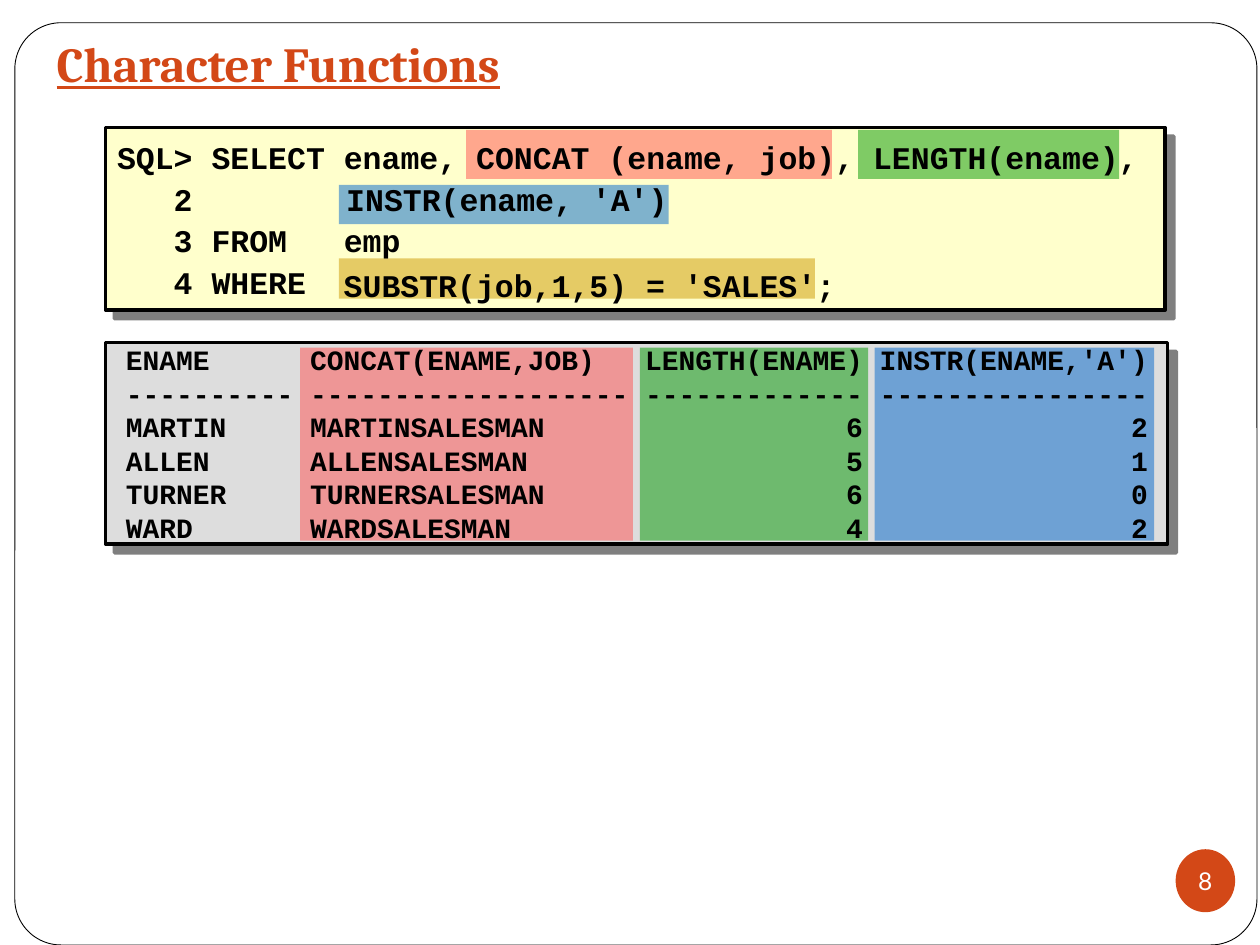
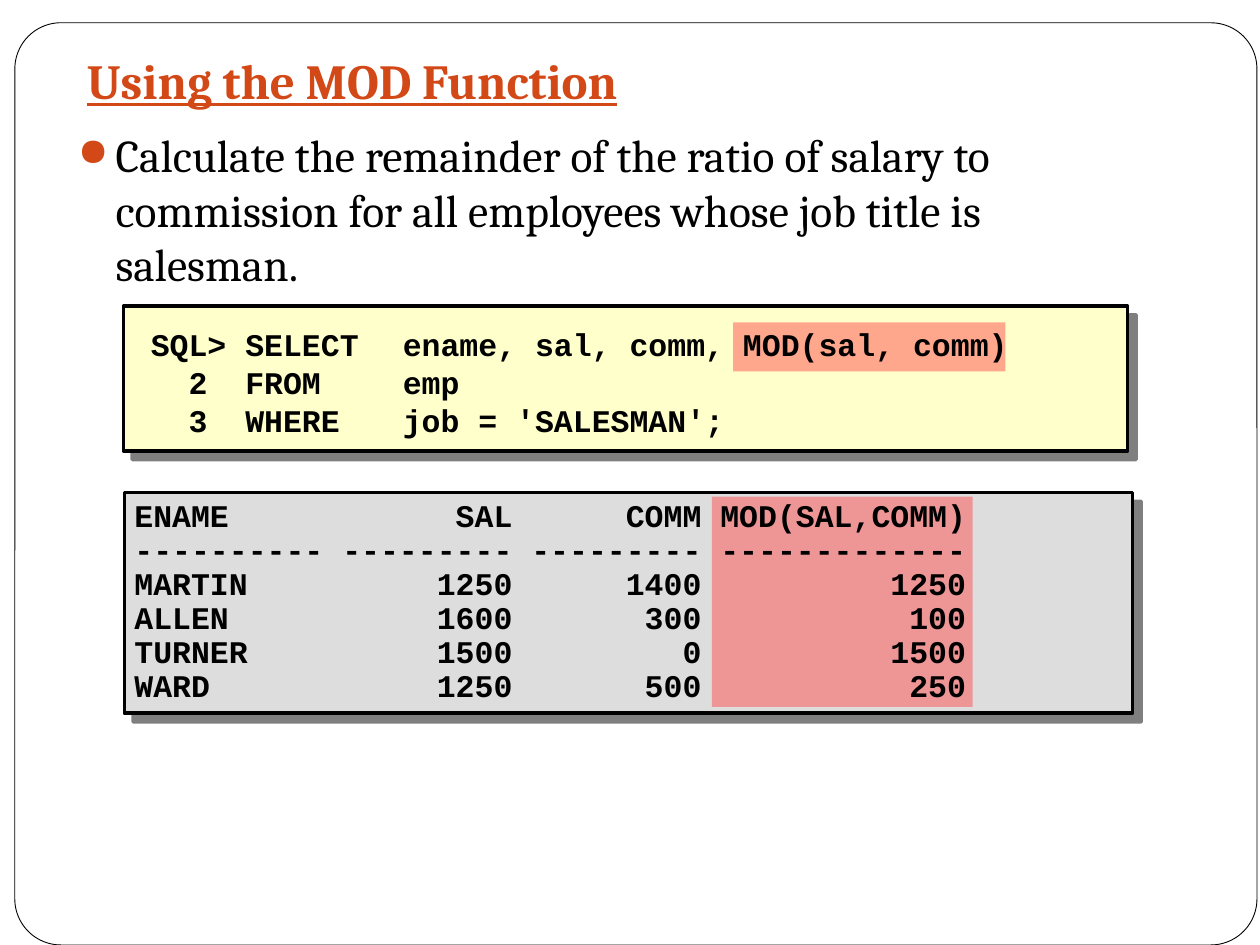
"""Build two slides on SQL character and number functions."""
import lxml.etree
import pptx
import pptx.dml.color
import pptx.enum.shapes
import pptx.enum.text
import pptx.oxml
import pptx.oxml.ns
import pptx.util

Cm, Pt = pptx.util.Cm, pptx.util.Pt
SHAPE = pptx.enum.shapes.MSO_SHAPE
ANCHOR = pptx.enum.text.MSO_ANCHOR
ALIGN = pptx.enum.text.PP_ALIGN
qn = pptx.oxml.ns.qn

COLORS = {
    "accent": "D34817", "ink": "000000", "paper": "FFFFFF",
    "code": "FFFFCC", "result": "DDDDDD",
    "red": "FF5050", "green": "009900", "blue": "0066CC", "gold": "CC9900",
}
SERIF, MONO, SANS = "Cambria", "Courier New", "Lato"


class Deck:
    """Hold the shared style and the current slide."""

    def __init__(self):
        self.prs = pptx.Presentation()
        self.prs.slide_width, self.prs.slide_height = Cm(25.4), Cm(19.05)
        self.s = None

    def color(self, name):
        return pptx.dml.color.RGBColor.from_string(COLORS[name])

    def sub(self, parent, tag, **attrs):
        return lxml.etree.SubElement(parent, qn(tag), attrs)

    def slide(self):
        self.s = self.prs.slides.add_slide(self.prs.slide_layouts[6])
        frame = self.shape((0.3, 0.46, 25.04, 18.59), "paper", 0.5, SHAPE.ROUNDED_RECTANGLE)
        frame.adjustments[0] = 0.05

    def shape(self, box, fill, line=None, kind=SHAPE.RECTANGLE):
        sp = self.s.shapes.add_shape(kind, *map(Cm, box))
        sp.shadow.inherit = False
        sp.fill.solid()
        sp.fill.fore_color.rgb = self.color(fill)
        if line:
            sp.line.color.rgb = self.color("ink")
            sp.line.width = Pt(line)
        else:
            sp.line.fill.background()
        return sp

    def panel(self, box, fill):
        sp = self.shape(box, fill, 2)
        effects = sp.element.spPr.find(qn("a:effectLst"))
        shadow = self.sub(effects, "a:outerShdw", blurRad="0", dist=str(Pt(7.1)),
                          dir="2700000", algn="ctr", rotWithShape="0")
        clr = self.sub(shadow, "a:srgbClr", val=COLORS["ink"])
        self.sub(clr, "a:alpha", val="50000")

    def highlight(self, box, fill):
        sp = self.shape(box, fill)
        clr = sp.element.spPr.find(qn("a:solidFill")).find(qn("a:srgbClr"))
        self.sub(clr, "a:alpha", val="50000")

    def run(self, p, text, size, font, color="ink", bold=False, underline=False):
        r = p.add_run()
        r.text = text
        f = r.font
        f.size, f.name, f.bold, f.underline = Pt(size), font, bold, underline
        f.color.rgb = self.color(color)

    def text(self, box, anchor=ANCHOR.TOP):
        tf = self.s.shapes.add_textbox(*map(Cm, box)).text_frame
        tf.word_wrap = True
        tf.vertical_anchor = anchor
        return tf

    def title(self, box, text, anchor=ANCHOR.TOP):
        tf = self.text(box, anchor)
        if anchor == ANCHOR.BOTTOM:
            tf.margin_bottom = Cm(0.25)
        self.run(tf.paragraphs[0], text, 28, SERIF, "accent", True, True)

    def bullet(self, box, text):
        p = self.text(box).paragraphs[0]
        pPr = p._p.get_or_add_pPr()
        pPr.set("marL", str(Cm(0.76)))
        pPr.set("indent", str(-Cm(0.76)))
        self.sub(self.sub(pPr, "a:buClr"), "a:srgbClr", val=COLORS["accent"])
        self.sub(pPr, "a:buSzPct", val="85000")
        self.sub(pPr, "a:buChar", char="●")
        self.run(p, text, 26, SERIF)

    def listing(self, box, lines, size=18, spacing=1.0, tab=None, anchor=ANCHOR.TOP):
        tf = self.text(box, anchor)
        for i, line in enumerate(lines):
            p = tf.add_paragraph() if i else tf.paragraphs[0]
            p.line_spacing = spacing
            if tab:
                tabs = self.sub(p._p.get_or_add_pPr(), "a:tabLst")
                self.sub(tabs, "a:tab", pos=str(Cm(tab)), algn="l")
            self.run(p, line, size, MONO, bold=True)

    def page_number(self, number):
        sp = self.shape((23.7, 17.12, 1.2, 1.27), "accent", kind=SHAPE.OVAL)
        tf = sp.text_frame
        tf.margin_left = tf.margin_right = tf.margin_top = tf.margin_bottom = 0
        tf.word_wrap = False
        tf.vertical_anchor = ANCHOR.MIDDLE
        p = tf.paragraphs[0]
        p.alignment = ALIGN.CENTER
        self.run(p, number, 14, SANS, "paper")


def character_functions(d):
    d.slide()
    d.title((0.89, 0.63, 18, 1.48), "Character Functions", ANCHOR.BOTTOM)
    d.page_number("8")
    d.panel((2.13, 6.91, 21.41, 4.06), "result")
    d.panel((2.13, 2.57, 21.36, 3.68), "code")
    for left, top, width, height, fill in (
        (9.4, 2.62, 7.37, 0.99, "red"),
        (17.3, 2.62, 5.26, 0.99, "green"),
        (6.83, 3.73, 6.65, 0.79, "blue"),
        (6.83, 5.21, 9.6, 0.81, "gold"),
    ):
        d.highlight((left, top, width, height), fill)
    for left, width, fill in ((6.05, 6.71, "red"), (12.9, 4.6, "green"), (17.63, 5.64, "blue")):
        d.highlight((left, 7.01, width, 3.89), fill)
    d.listing((2.11, 2.51, 21.5, 3.76), (
        "SQL> SELECT ename, CONCAT (ename, job), LENGTH(ename),",
        "   2 \tINSTR(ename, 'A')",
        "   3 FROM   emp",
        "   4 WHERE",
    ), spacing=1.1, tab=4.62, anchor=ANCHOR.MIDDLE)
    d.listing((6.68, 5.08, 10.8, 1.17), ("SUBSTR(job,1,5) = 'SALES';",), spacing=1.2)
    d.listing((2.29, 6.78, 21.8, 4.32), (
        "ENAME      CONCAT(ENAME,JOB)   LENGTH(ENAME) INSTR(ENAME,'A')",
        "---------- ------------------- ------------- ----------------",
        "MARTIN     MARTINSALESMAN                  6                2",
        "ALLEN      ALLENSALESMAN                   5                1",
        "TURNER     TURNERSALESMAN                  6                0",
        "WARD       WARDSALESMAN                    4                2",
    ), size=16)


def mod_function(d):
    d.slide()
    d.title((1.5, 0.89, 11.89, 1.3), "Using the MOD Function")
    d.bullet((1.32, 2.44, 22.61, 3.58),
             "Calculate the remainder of the ratio of salary to commission "
             "for all employees whose job title is salesman.")
    d.panel((2.51, 9.93, 20.32, 4.45), "result")
    d.panel((2.49, 6.17, 20.24, 2.92), "code")
    d.highlight((14.78, 6.5, 5.49, 0.99), "red")
    d.highlight((14.35, 10.01, 5.26, 4.24), "red")
    d.listing((2.79, 6.43, 19.86, 3.91), (
        "SQL> SELECT\tename, sal, comm, MOD(sal, comm)",
        "  2  FROM\temp",
        "  3  WHERE\tjob = 'SALESMAN';",
    ), tab=5.08)
    d.listing((2.46, 9.96, 20.24, 4.39), (
        "ENAME            SAL      COMM MOD(SAL,COMM)",
        "---------- --------- --------- -------------",
        "MARTIN          1250      1400          1250",
        "ALLEN           1600       300           100",
        "TURNER          1500         0          1500",
        "WARD            1250       500           250",
    ), spacing=0.9)


def main():
    d = Deck()
    character_functions(d)
    mod_function(d)
    d.prs.save("out.pptx")


if __name__ == "__main__":
    main()
